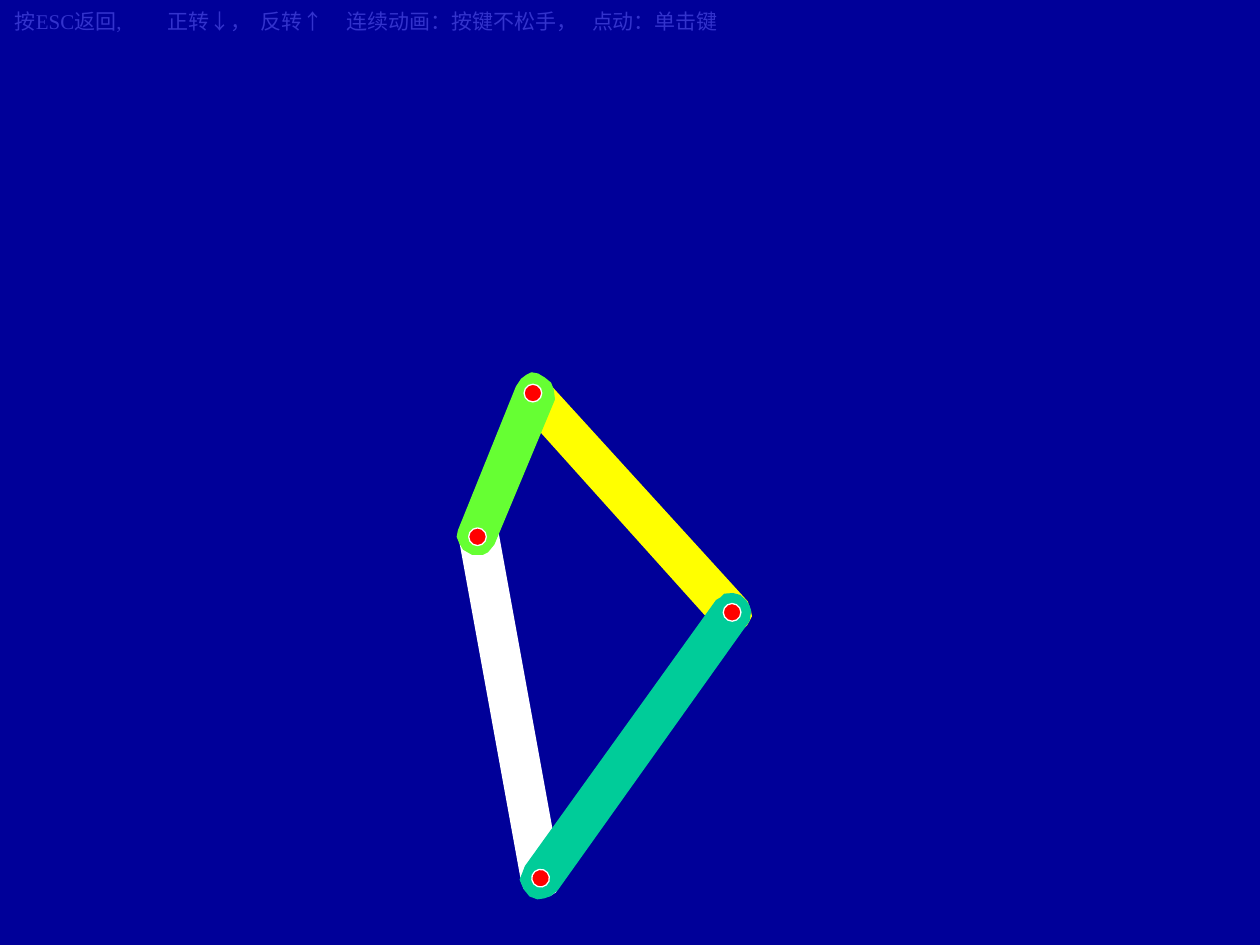
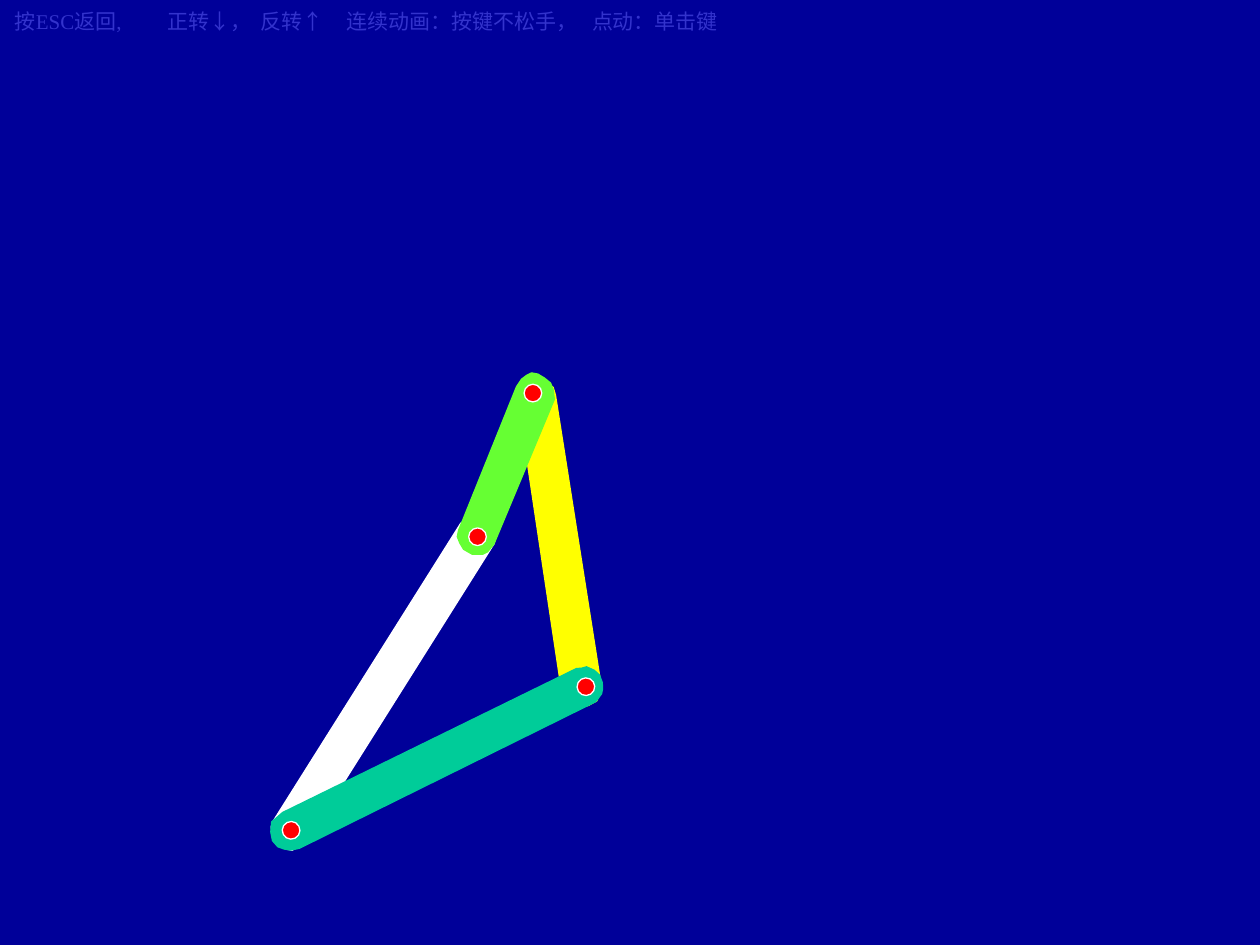
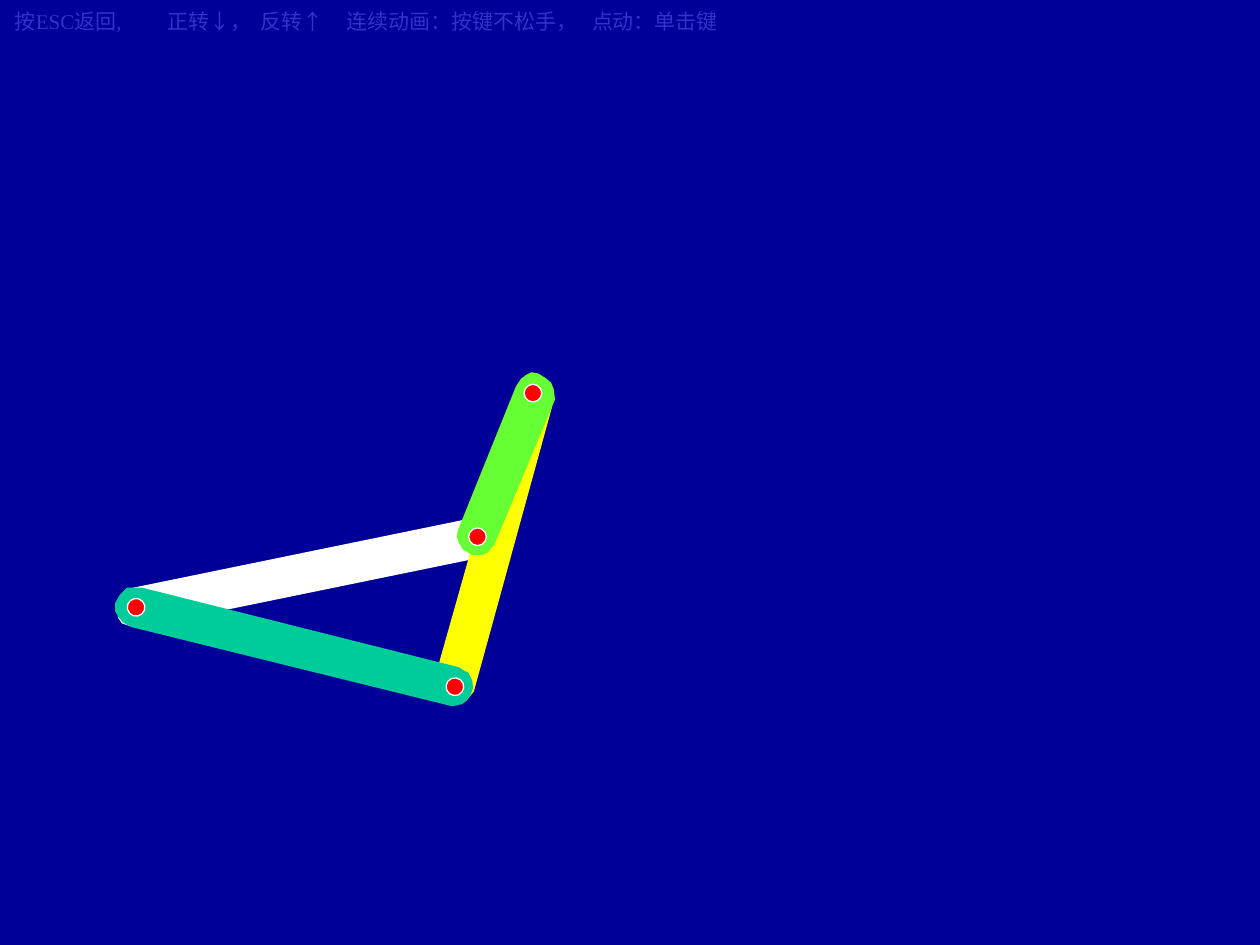
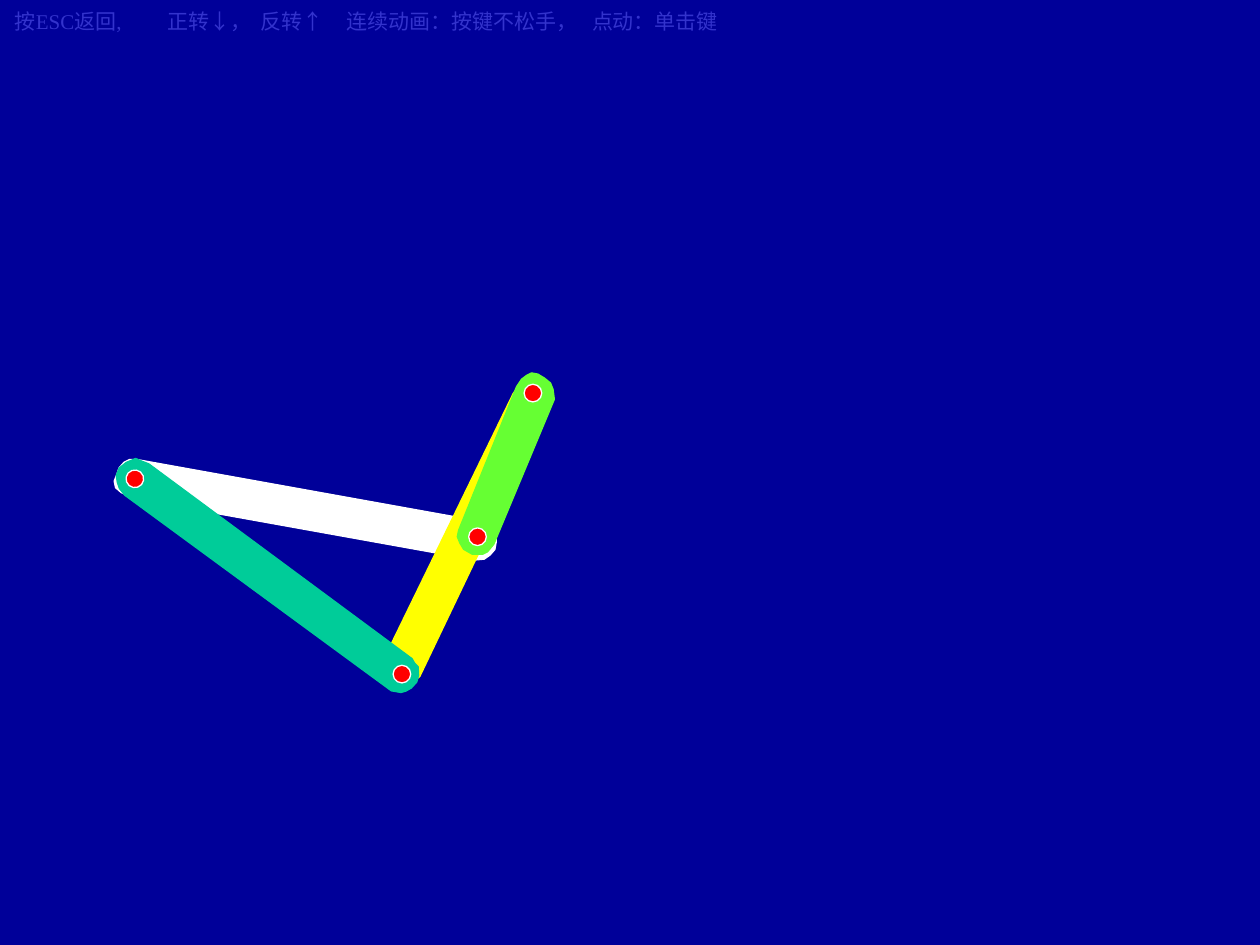
"""Build four positions of a four-bar linkage, one per slide."""
from lxml.etree import SubElement
from pptx import Presentation
from pptx.dml.color import RGBColor
from pptx.enum.shapes import MSO_SHAPE
from pptx.enum.text import MSO_AUTO_SIZE
from pptx.oxml.ns import qn
from pptx.util import Inches, Pt

COLOURS = {
    "background": "000099",
    "hint": "3333CC",
    "crank": "FFFFFF",
    "rocker": "FFFF00",
    "coupler": "00CC99",
    "frame": "66FF33",
    "pin": "FF0000",
    "pin_edge": "FFFFFF",
}
OUTLINES = {
    "crank": [
        (0.14, 0), (2.9, 0), (2.96, 0.02), (3, 0.03), (3.05, 0.06), (3.07, 0.11),
        (3.06, 0.16), (3.05, 0.22), (3.02, 0.27), (2.98, 0.3), (2.93, 0.31),
        (0.14, 0.31), (0.06, 0.27), (0.01, 0.23), (0, 0.17), (0, 0.11),
        (0.03, 0.06), (0.07, 0.02),
    ],
    "rocker": [
        (0.07, 1.21), (2.08, 0.01), (2.16, 0), (2.2, 0), (2.26, 0.05), (2.28, 0.08),
        (2.31, 0.16), (2.27, 0.23), (2.23, 0.29), (0.22, 1.47), (0.16, 1.49),
        (0.11, 1.48), (0.06, 1.47), (0.01, 1.4), (0, 1.33), (0.02, 1.25),
    ],
    "coupler": [
        (1.05, 2.58), (0.01, 0.2), (0.01, 0.16), (0, 0.12), (0.03, 0.06),
        (0.07, 0.02), (0.13, 0), (0.18, 0), (0.22, 0.01), (0.28, 0.06),
        (1.34, 2.46), (1.35, 2.53), (1.34, 2.58), (1.32, 2.63), (1.27, 2.67),
        (1.2, 2.68), (1.12, 2.67), (1.09, 2.63),
    ],
    "frame": [
        (0.01, 1.25), (0.47, 0.11), (0.51, 0.05), (0.55, 0.02), (0.59, 0),
        (0.64, 0.01), (0.69, 0.04), (0.74, 0.08), (0.76, 0.13), (0.77, 0.21),
        (0.29, 1.36), (0.24, 1.42), (0.2, 1.44), (0.12, 1.44), (0.05, 1.4),
        (0.02, 1.35), (0, 1.3),
    ],
}
FRAME_PLACE = (3.63, 2.96)
FRAME_PINS = [(3.72, 4.19), (4.16, 3.05)]
PIN_SIZE = 0.14
POSES = [
    {"crank": (2.51, 5.45, 79.7), "rocker": (3.87, 3.27, 78.5),
     "coupler": (4.37, 4.58, 59.3), "pins": [(5.74, 4.79), (4.22, 6.9)]},
    {"crank": (1.51, 5.26, 122.2), "rocker": (3.28, 3.57, 111.9),
     "coupler": (2.79, 4.68, 87.5), "pins": [(4.58, 5.38), (2.24, 6.52)]},
    {"crank": (0.9, 4.39, 168.4), "rocker": (2.76, 3.57, 136.2),
     "coupler": (1.66, 3.79, 127.7), "pins": [(3.54, 5.38), (1.01, 4.75)]},
    {"crank": (0.89, 3.89, 190.2), "rocker": (2.54, 3.5, 146.4),
     "coupler": (1.45, 3.23, 150.1), "pins": [(3.12, 5.28), (1, 3.73)]},
]
HINTS = ["按ESC返回,", "正转↓，", "反转↑", "连续动画：按键不松手，", "点动：单击键"]
HINT_TABS = [1.21, 1.95, 2.63, 4.58]
HINT_FONT = {"name": "Times New Roman", "size": Pt(12)}
HINT_FRAME = {
    "word_wrap": True, "auto_size": MSO_AUTO_SIZE.SHAPE_TO_FIT_TEXT,
    "margin_left": Inches(0.1), "margin_right": Inches(0.1),
    "margin_top": Inches(0.05), "margin_bottom": Inches(0.05),
}


def colour(name):
    """Return the named colour."""
    return RGBColor.from_string(COLOURS[name])


def set_all(target, values):
    """Set every attribute in values on target."""
    for name, value in values.items():
        setattr(target, name, value)


def paint(shape, fill, edge, angle):
    """Give a shape its flat fill, thin edge and rotation."""
    shape.shadow.inherit = False
    shape.fill.solid()
    shape.fill.fore_color.rgb = colour(fill)
    shape.line.color.rgb = colour(edge)
    shape.line.width = Pt(0.75)
    shape.rotation = angle


def add_link(shapes, name, left, top, angle=0):
    """Draw one bar of the linkage from its outline."""
    start, *others = [(Inches(x), Inches(y)) for x, y in OUTLINES[name]]
    builder = shapes.build_freeform(*start)
    builder.add_line_segments(others, close=True)
    link = builder.convert_to_shape(Inches(left), Inches(top))
    paint(link, name, name, angle)


def add_pin(shapes, left, top, angle=0):
    """Draw one round joint."""
    size = Inches(PIN_SIZE)
    pin = shapes.add_shape(MSO_SHAPE.OVAL, Inches(left), Inches(top), size, size)
    paint(pin, "pin", "pin_edge", angle)


def add_fixed_frame(page):
    """Group the fixed bar with its two joints."""
    group = page.shapes.add_group_shape()
    add_link(group.shapes, "frame", *FRAME_PLACE)
    for place in FRAME_PINS:
        add_pin(group.shapes, *place)


def add_hint(page):
    """Write the line of key hints, spaced by tab stops."""
    box = page.shapes.add_textbox(Inches(0.02), Inches(0.02), Inches(6.49), Inches(0.3))
    set_all(box.text_frame, HINT_FRAME)
    para = box.text_frame.paragraphs[0]
    tabs = SubElement(para._p.get_or_add_pPr(), qn("a:tabLst"))
    for position in HINT_TABS:
        SubElement(tabs, qn("a:tab"), pos=str(Inches(position)), algn="l")
    span = para.add_run()
    span.text = "\t".join(HINTS)
    set_all(span.font, HINT_FONT)
    span.font.color.rgb = colour("hint")


def add_pose(deck, pose):
    """Add a slide that shows the linkage in one position."""
    page = deck.slides.add_slide(deck.slide_layouts[6])
    for name in ("crank", "rocker", "coupler"):
        add_link(page.shapes, name, *pose[name])
    for place, name in zip(pose["pins"], ("coupler", "crank")):
        add_pin(page.shapes, *place, angle=pose[name][2])
    add_fixed_frame(page)
    add_hint(page)


def main():
    """Build and save the deck."""
    deck = Presentation()
    deck.slide_width, deck.slide_height = Inches(10), Inches(7.5)
    backdrop = deck.slide_master.background.fill
    backdrop.solid()
    backdrop.fore_color.rgb = colour("background")
    for pose in POSES:
        add_pose(deck, pose)
    deck.save("out.pptx")


if __name__ == "__main__":
    main()
